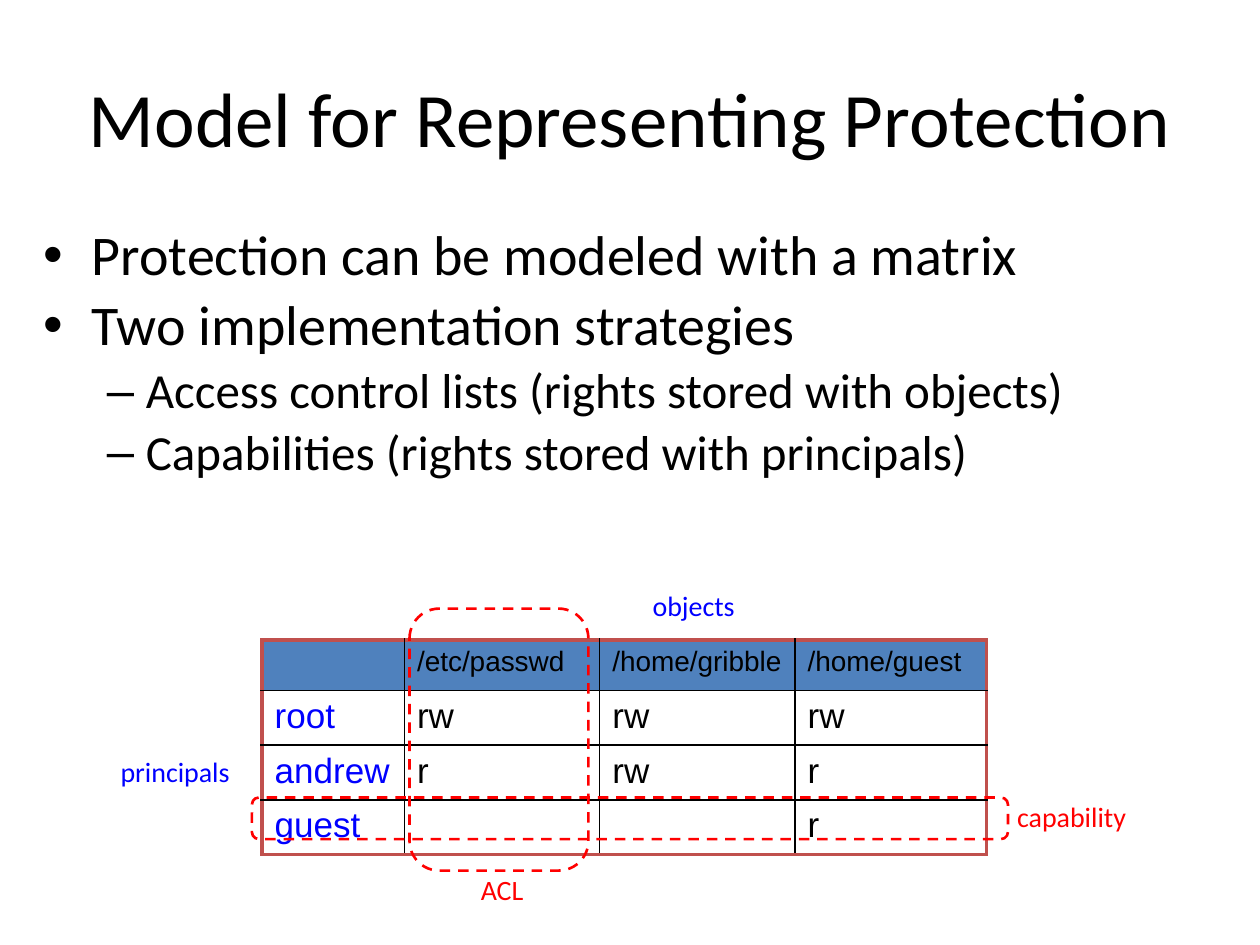
from lxml.etree import SubElement
from pptx import Presentation
from pptx.dml.color import RGBColor
from pptx.enum.dml import MSO_LINE
from pptx.enum.shapes import MSO_SHAPE
from pptx.enum.text import MSO_ANCHOR, PP_ALIGN
from pptx.oxml.ns import qn
from pptx.util import Inches, Pt

BLACK, BLUE, RED = "000000", "0000FF", "FF0000"
HEAD, EDGE = "4F81BD", "C0504D"

BODY = [
    (0, "Protection can be modeled with a matrix"),
    (0, "Two implementation strategies"),
    (1, "Access control lists (rights stored with objects)"),
    (1, "Capabilities (rights stored with principals)"),
]
# Font size, left indent, first line offset and bullet of each level
LEVELS = [(32, 0.38, -0.38, "•"), (28, 0.81, -0.31, "–")]

RIGHTS = [
    ["", "/etc/passwd", "/home/gribble", "/home/guest"],
    ["root", "rw", "rw", "rw"],
    ["andrew", "r", "rw", "r"],
    ["guest", "", "", "r"],
]
COLS = [1.13, 1.55, 1.55, 1.52]
ROWS = [0.38, 0.43, 0.42, 0.42]

LABELS = [
    ("principals", BLUE, (0.82, 5.94, 1.14, 0.37)),
    ("objects", BLUE, (5.05, 4.62, 0.91, 0.37)),
    ("ACL", RED, (3.67, 6.88, 0.63, 0.37)),
    ("capability", RED, (7.94, 6.3, 1.13, 0.37)),
]
FRAMES = [(3.25, 4.83, 1.42, 2.08), (2, 6.33, 6, 0.33)]


def color(code):
    return RGBColor.from_string(code)


def write(para, text, size=16, font="Calibri", ink=BLACK, align=PP_ALIGN.LEFT):
    para.alignment = align
    run = para.add_run()
    run.text = text
    run.font.size = Pt(size)
    run.font.name = font
    run.font.bold = False
    run.font.color.rgb = color(ink)


def add_box(slide, area, wrap=True, anchor=MSO_ANCHOR.TOP):
    box = slide.shapes.add_textbox(*map(Inches, area))
    frame = box.text_frame
    frame.word_wrap = wrap
    frame.vertical_anchor = anchor
    return frame


def add_list(slide, items, area):
    frame = add_box(slide, area)
    for i, (level, text) in enumerate(items):
        size, left, first, mark = LEVELS[level]
        para = frame.add_paragraph() if i else frame.paragraphs[0]
        para.level = level
        para.line_spacing = 0.9
        para.space_before = Pt(0.18 * size)
        write(para, text, size)
        props = para._p.get_or_add_pPr()
        props.set("marL", str(Inches(left)))
        props.set("indent", str(Inches(first)))
        SubElement(props, qn("a:buFont"), typeface="Arial")
        SubElement(props, qn("a:buChar"), char=mark)


def add_border(cell, side, ink, width):
    props = cell._tc.get_or_add_tcPr()
    line = SubElement(props, qn("a:ln" + side), w=str(Pt(width)))
    fill = SubElement(line, qn("a:solidFill"))
    SubElement(fill, qn("a:srgbClr"), val=ink)


def add_matrix(slide, left, top):
    size = len(RIGHTS), len(COLS)
    table = slide.shapes.add_table(
        *size, Inches(left), Inches(top), Inches(sum(COLS)), Inches(sum(ROWS))
    ).table
    table.horz_banding = False
    for col, width in zip(table.columns, COLS):
        col.width = Inches(width)
    for row, height in zip(table.rows, ROWS):
        row.height = Inches(height)

    for r, line in enumerate(RIGHTS):
        for c, text in enumerate(line):
            cell = table.cell(r, c)
            # Outer edges are thick, inner ones thin
            outer = {"L": c == 0, "R": c == size[1] - 1,
                     "T": r == 0, "B": r == size[0] - 1}
            for side, thick in outer.items():
                add_border(cell, side, *((EDGE, 2.25) if thick else (BLACK, 1)))
            if r == 0:
                cell.fill.solid()
                cell.fill.fore_color.rgb = color(HEAD)
            else:
                cell.fill.background()
            if text:
                write(cell.text_frame.paragraphs[0], text, font="Arial",
                      size=20 if r else 16, ink=BLACK if c else BLUE)


def add_frame(slide, area):
    shape = slide.shapes.add_shape(MSO_SHAPE.ROUNDED_RECTANGLE, *map(Inches, area))
    shape.shadow.inherit = False
    shape.fill.background()
    shape.line.color.rgb = color(RED)
    shape.line.width = Pt(1.5)
    shape.line.dash_style = MSO_LINE.DASH


def main():
    deck = Presentation()
    deck.slide_width, deck.slide_height = Inches(10), Inches(7.5)
    slide = deck.slides.add_slide(deck.slide_layouts[6])

    # Title and bullets
    title = add_box(slide, (0.5, 0.3, 9, 1.25), anchor=MSO_ANCHOR.MIDDLE)
    write(title.paragraphs[0], "Model for Representing Protection",
          size=44, align=PP_ALIGN.CENTER)
    add_list(slide, BODY, (0.25, 1.75, 9.42, 2.74))

    # Access matrix with its dashed frames and labels
    add_matrix(slide, 2.08, 5.08)
    for area in FRAMES:
        add_frame(slide, area)
    for text, ink, area in LABELS:
        label = add_box(slide, area, wrap=False)
        write(label.paragraphs[0], text, ink=ink, align=PP_ALIGN.CENTER)

    deck.save("out.pptx")


if __name__ == "__main__":
    main()
